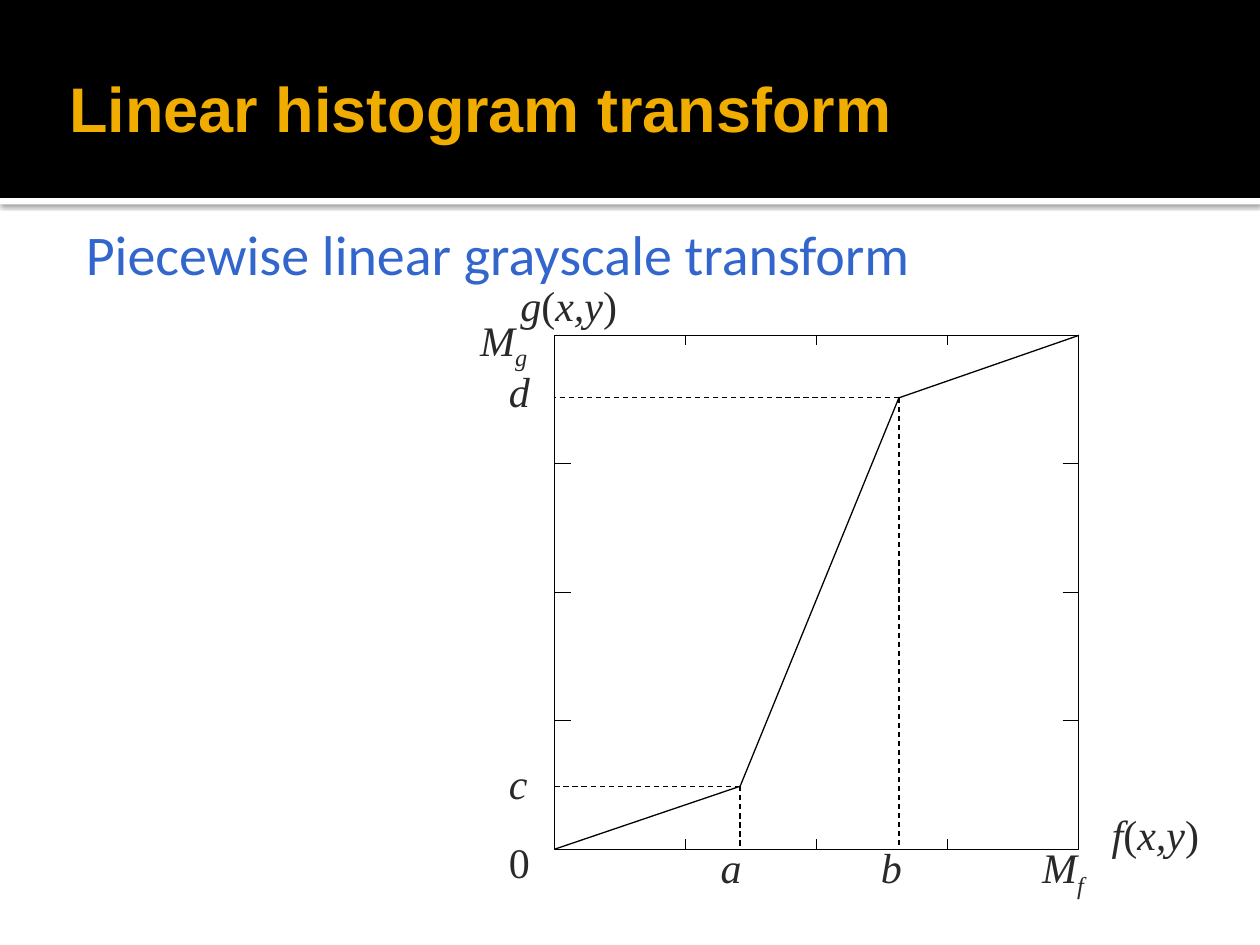
from itertools import pairwise

from lxml.etree import SubElement
from pptx import Presentation
from pptx.dml.color import RGBColor
from pptx.enum.dml import MSO_LINE
from pptx.enum.shapes import MSO_CONNECTOR as CONNECTOR, MSO_SHAPE as SHAPE
from pptx.enum.text import MSO_ANCHOR as ANCHOR, MSO_AUTO_SIZE as AUTO, PP_ALIGN as ALIGN
from pptx.oxml.ns import qn
from pptx.util import Cm, Pt

# Content
TITLE = "Linear histogram transform"
SUBTITLE = "Piecewise linear grayscale transform"
COLORS = {"black": "000000", "white": "FFFFFF", "title": "F0AD00",
          "subtitle": "3366CC", "label": "292929"}

# Labels: left, top, width, height in cm, then runs of (text, style)
F_OF_XY = [("f", "italic"), ("(", ""), ("x,y", "italic"), (")", "")]
G_OF_XY = [("g", "italic")] + F_OF_XY[1:]
LABELS = [
    (9.55, 6.25, 2.11, 1.32, [("M", "italic"), ("g", "italic sub")]),
    (10.13, 16.79, 1.32, 1.17, [("0", "")]),
    (22.28, 16.23, 2.21, 1.17, F_OF_XY),
    (10.36, 5.56, 2.21, 1.17, G_OF_XY),
    (14.40, 16.89, 2.11, 1.17, [("a", "italic")]),
    (17.63, 16.89, 2.11, 1.17, [("b", "italic")]),
    (10.13, 15.19, 2.11, 1.17, [("c", "italic")]),
    (10.13, 7.29, 2.11, 1.17, [("d", "italic")]),
    (20.88, 16.89, 2.11, 1.32, [("M", "italic"), ("f", "italic sub")]),
]

# Graph frame and the two bends of the curve, in cm
LEFT, TOP, WIDTH, HEIGHT = 11.18, 6.76, 10.57, 10.36
RIGHT, BOTTOM = LEFT + WIDTH, TOP + HEIGHT
BENDS = [(14.92, 15.85), (18.12, 8.02)]
DIVISIONS = 4
SIDE_TICK, END_TICK = 0.33, 0.20

deck = Presentation()
deck.slide_width, deck.slide_height = Cm(25.4), Cm(19.05)
page = deck.slides.add_slide(deck.slide_layouts[1])
shapes = page.shapes


def color(name):
    return RGBColor.from_string(COLORS[name])


def place(shape, left, top, width, height):
    shape.left, shape.top = Cm(left), Cm(top)
    shape.width, shape.height = Cm(width), Cm(height)


def set_frame(frame, anchor):
    frame.word_wrap = True
    frame.vertical_anchor = anchor
    frame.margin_left = frame.margin_right = Cm(0.13)
    frame.margin_top = frame.margin_bottom = Cm(0.13)


def set_font(font, name, size, color_name, bold=False, italic=False):
    font.name, font.size = name, Pt(size)
    font.bold, font.italic = bold, italic
    font.color.rgb = color(color_name)


def add_band(top, height, color_name):
    band = shapes.add_shape(SHAPE.RECTANGLE, 0, Cm(top), deck.slide_width, Cm(height))
    band.shadow.inherit = False
    band.fill.solid()
    band.fill.fore_color.rgb = color(color_name)
    band.line.fill.background()
    return band


def add_line(start, end, dashed=False):
    line = shapes.add_connector(CONNECTOR.STRAIGHT, *(Cm(value) for value in (*start, *end)))
    line.line.color.rgb = color("black")
    line.line.width = Pt(0.75)
    if dashed:
        line.line.dash_style = MSO_LINE.DASH
    SubElement(line.element.spPr, qn("a:effectLst"))


def add_label(left, top, width, height, runs):
    box = shapes.add_textbox(Cm(left), Cm(top), Cm(width), Cm(height))
    set_frame(box.text_frame, ANCHOR.MIDDLE)
    box.text_frame.auto_size = AUTO.SHAPE_TO_FIT_TEXT
    para = box.text_frame.paragraphs[0]
    para.alignment = ALIGN.JUSTIFY
    for text, style in runs:
        span = para.add_run()
        span.text = text
        set_font(span.font, "Times New Roman", 24, "label", italic="italic" in style)
        if "sub" in style:
            span._r.get_or_add_rPr().set("baseline", "-25000")


# Header bands, placed behind the title
header = add_band(0, 3.99, "black")
strip = add_band(3.99, 0.13, "white")
effects = strip.element.spPr.find(qn("a:effectLst"))
shadow = SubElement(effects, qn("a:outerShdw"), blurRad=str(Pt(3)), dist=str(Pt(0.8)),
                    dir="5400000", algn="t", rotWithShape="0")
shade = SubElement(shadow, qn("a:srgbClr"), val=COLORS["black"])
SubElement(shade, qn("a:alpha"), val="60000")
for band in (header, strip):
    band.element.getparent().insert(2, band.element)

# Title
title = shapes.title
place(title, 1.27, 0.43, 22.86, 3.48)
title.text_frame.text = TITLE
set_frame(title.text_frame, ANCHOR.MIDDLE)
para = title.text_frame.paragraphs[0]
para.alignment = ALIGN.LEFT
set_font(para.runs[0].font, "Arial", 36, "title", bold=True)

# Subtitle
body = page.placeholders[1]
place(body, 1.27, 4.45, 23.19, 1.65)
body.text_frame.text = SUBTITLE
set_frame(body.text_frame, ANCHOR.TOP)
para = body.text_frame.paragraphs[0]
para.line_spacing = 0.9
para.space_before = Pt(0)
properties = para._p.get_or_add_pPr()
properties.set("marL", str(Cm(0.89)))
properties.set("indent", str(Cm(-0.56)))
SubElement(properties, qn("a:buNone"))
set_font(para.runs[0].font, "Calibri", 32, "subtitle")

# Graph frame
frame = shapes.add_shape(SHAPE.RECTANGLE, Cm(LEFT), Cm(TOP), Cm(WIDTH), Cm(HEIGHT))
frame.shadow.inherit = False
frame.fill.background()
frame.line.color.rgb = color("black")
frame.line.width = Pt(0.75)

# Ticks on all four sides
for step in range(1, DIVISIONS):
    x = LEFT + WIDTH * step / DIVISIONS
    y = TOP + HEIGHT * step / DIVISIONS
    add_line((LEFT, y), (LEFT + SIDE_TICK, y))
    add_line((RIGHT - SIDE_TICK, y), (RIGHT, y))
    add_line((x, TOP), (x, TOP + END_TICK))
    add_line((x, BOTTOM - END_TICK), (x, BOTTOM))

# Curve
for start, end in pairwise([(LEFT, BOTTOM), *BENDS, (RIGHT, TOP)]):
    add_line(start, end)

# Dashed guides from each bend to the axes
for x, y in BENDS:
    add_line((x, y), (x, BOTTOM), dashed=True)
    add_line((x, y), (LEFT, y), dashed=True)

# Labels
for label in LABELS:
    add_label(*label)

deck.save("out.pptx")
